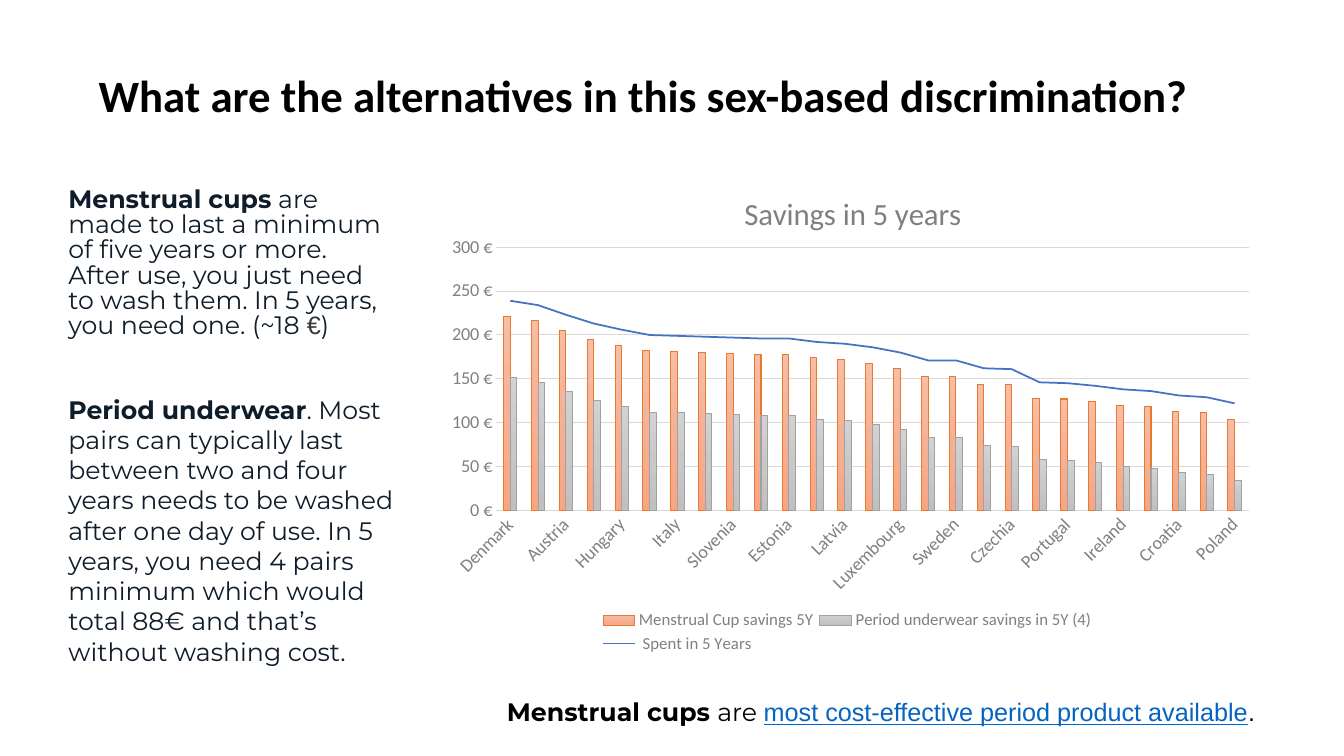
from copy import deepcopy

from pptx import Presentation
from pptx.chart.data import CategoryChartData
from pptx.dml.color import RGBColor
from pptx.enum.chart import XL_CHART_TYPE, XL_LEGEND_POSITION, XL_MARKER_STYLE, XL_TICK_MARK
from pptx.oxml.ns import qn
from pptx.oxml.xmlchemy import OxmlElement
from pptx.util import Inches, Pt

COLUMNS = XL_CHART_TYPE.COLUMN_CLUSTERED
LEGEND_BOTTOM = XL_LEGEND_POSITION.BOTTOM
NO_MARKER = XL_MARKER_STYLE.NONE
NO_TICK = XL_TICK_MARK.NONE

THEME = {
    "heading_font": "Calibri", "body_font": "Montserrat", "plain_font": "Arial",
    "black": "000000", "ink": "0F1C2A", "euro": "363636", "link": "0563C1",
    "chart_text": "808080", "grid": "D9D9D9", "spent": "4472C4",
    "columns": [
        (("F7BDA5", "F5B196", "F8A582"), "E87A30"),
        (("D2D2D2", "C8C8C8", "C0C0C0"), "A1A1A1"),
    ],
    "title_size": 32, "body_size": 18, "chart_title_size": 22,
    "axis_size": 13, "legend_size": 12,
}

BOLD = {"bold": True}
PLAIN = {"bold": False}
# Each text: box (left, top, width, height), colour, exact line spacing, runs
TEXTS = [
    ((0.88, 0.62, 11.54, 0.94), "black", None, [
        ("What are the alternatives in this sex-based discrimination?",
         {"bold": True, "font": "heading_font", "size": "title_size"}),
    ]),
    ((0.58, 1.82, 3.4, 1.62), "ink", 18, [
        ("Menstrual cups", BOLD),
        (" are made to last a minimum of five years or more. After use, you just need "
         "to wash them. In 5 years, you need one. (~18", PLAIN),
        (" €", {"font": "plain_font", "color": "euro"}),
        (")", PLAIN),
    ]),
    ((0.58, 3.86, 3.52, 2.83), "ink", None, [
        ("Period underwear", BOLD),
        (". Most pairs can typically last between two and four years needs to be washed "
         "after one day of use. In 5 years, you need 4 pairs minimum which would total "
         "88€ and that’s without washing cost.", PLAIN),
    ]),
    ((4.93, 6.86, 7.87, 0.4), "black", None, [
        ("Menstrual cups ", BOLD),
        ("are ", PLAIN),
        ("most cost-effective period product available",
         {"font": "plain_font", "color": "link", "underline": True}),
        (".", {"font": "plain_font"}),
    ]),
]

CHART_BOX = (4.26, 1.55, 8.29, 5.02)
CHART_TITLE = "Savings in 5 years"
COUNTRIES = [
    "Denmark", "Greece", "Austria", "Romania", "Hungary", "Finland", "Italy", "Cyprus",
    "Slovenia", "Belgium", "Estonia", "Malta", "Latvia", "Netherlands", "Luxembourg",
    "France", "Sweden", "Spain", "Czechia", "Lithuania", "Portugal", "Bulgaria",
    "Ireland", "Slovakia", "Croatia", "Germany", "Poland",
]
SERIES = {
    "Menstrual Cup savings 5Y": [
        221, 216, 205, 195, 188, 182, 181, 180, 179, 178, 178, 174, 172, 168,
        162, 153, 153, 144, 143, 128, 127, 124, 120, 118, 113, 111, 104],
    "Period underwear savings in 5Y (4)": [
        151, 146, 135, 125, 118, 112, 111, 110, 109, 108, 108, 104, 102, 98,
        92, 83, 83, 74, 73, 58, 57, 54, 50, 48, 43, 41, 34],
    " Spent in 5 Years ": [
        239, 234, 223, 213, 206, 200, 199, 198, 197, 196, 196, 192, 190, 186,
        180, 171, 171, 162, 161, 146, 145, 142, 138, 136, 131, 129, 122],
}


def rgb(name):
    return RGBColor.from_string(THEME.get(name, name))


def set_font(font, size, color, family="heading_font", bold=False):
    font.name, font.size, font.bold = THEME[family], Pt(THEME[size]), bold
    font.color.rgb = rgb(color)


def set_line(line, color, width):
    line.color.rgb, line.width = rgb(color), Pt(width)


def add_text(slide, box, color, spacing, runs):
    frame = slide.shapes.add_textbox(*map(Inches, box)).text_frame
    frame.word_wrap = True
    paragraph = frame.paragraphs[0]
    if spacing:
        paragraph.line_spacing = Pt(spacing)
    for text, style in runs:
        run = paragraph.add_run()
        run.text = text
        set_font(run.font, style.get("size", "body_size"), style.get("color", color),
                 style.get("font", "body_font"), style.get("bold", False))
        if style.get("underline"):
            run.font.underline = True


def add_value(parent, tag, value):
    child = OxmlElement(tag)
    child.set("val", str(value))
    parent.append(child)


def place(element, index, **fractions):
    """Give a chart part a fixed place, in fractions of the chart's size."""
    for old in element.findall(qn("c:layout")):
        element.remove(old)
    layout, manual = OxmlElement("c:layout"), OxmlElement("c:manualLayout")
    layout.append(manual)
    if index == 0:
        add_value(manual, "c:layoutTarget", "inner")
    for mode in ("c:xMode", "c:yMode"):
        add_value(manual, mode, "edge")
    for side, fraction in fractions.items():
        add_value(manual, f"c:{side}", fraction)
    element.insert(index, layout)


def move_last_series_to_line(plot_area):
    columns = plot_area.find(qn("c:barChart"))
    series = columns.findall(qn("c:ser"))[-1]
    for column_only in series.findall(qn("c:invertIfNegative")):
        series.remove(column_only)
    line_chart = OxmlElement("c:lineChart")
    add_value(line_chart, "c:grouping", "standard")
    add_value(line_chart, "c:varyColors", 0)
    line_chart.append(series)
    add_value(line_chart, "c:marker", 1)
    for axis_id in columns.findall(qn("c:axId")):
        line_chart.append(deepcopy(axis_id))
    columns.addnext(line_chart)


def fill_gradient(series, colors):
    fill = series.format.fill
    fill.gradient()
    fill.gradient_angle = 270
    stop_list = series._element.find(".//" + qn("a:gsLst"))
    stop_list.insert(1, deepcopy(stop_list[0]))
    for stop, color, position in zip(fill.gradient_stops, colors, (0, 0.5, 1)):
        stop.color.rgb, stop.position = rgb(color), position


def add_savings_chart(slide):
    data = CategoryChartData()
    data.categories = COUNTRIES
    for name, values in SERIES.items():
        data.add_series(name, values)
    chart = slide.shapes.add_chart(COLUMNS, *map(Inches, CHART_BOX), data).chart
    plot_area = chart._chartSpace.chart.plotArea
    move_last_series_to_line(plot_area)
    place(plot_area, 0, x=0.08, y=0.18, w=0.9, h=0.52)

    chart.has_title = True
    title = chart.chart_title
    title.text_frame.text = CHART_TITLE
    set_font(title.text_frame.paragraphs[0].font, "chart_title_size", "chart_text")
    place(title._element, 1, x=0.37, y=0.06)

    chart.has_legend = True
    legend = chart.legend
    legend.position, legend.include_in_layout = LEGEND_BOTTOM, False
    set_font(legend.font, "legend_size", "chart_text")
    place(legend._element, 1, x=0.2, y=0.89, w=0.6, h=0.1)

    countries, euros = chart.category_axis, chart.value_axis
    for axis in (countries, euros):
        axis.major_tick_mark = axis.minor_tick_mark = NO_TICK
        set_font(axis.tick_labels.font, "axis_size", "chart_text")
    set_line(countries.format.line, "grid", 0.75)
    countries._element.find(".//" + qn("a:bodyPr")).set("rot", "-2700000")
    skip = OxmlElement("c:tickLblSkip")
    skip.set("val", "2")
    countries._element.find(qn("c:noMultiLvlLbl")).addprevious(skip)
    euros.minimum_scale, euros.maximum_scale, euros.major_unit = 0, 300, 50
    euros.format.line.fill.background()
    set_line(euros.major_gridlines.format.line, "grid", 0.75)
    euros.tick_labels.number_format = '#\\ ##0\\ "€"'
    euros.tick_labels.number_format_is_linked = False

    columns, lines = chart.plots
    columns.gap_width, columns.overlap, columns.vary_by_categories = 219, 0, False
    for series, (colors, outline) in zip(columns.series, THEME["columns"]):
        fill_gradient(series, colors)
        set_line(series.format.line, outline, 0.75)
    spent = lines.series[0]
    spent.smooth, spent.marker.style = False, NO_MARKER
    set_line(spent.format.line, "spent", 1.25)


def main():
    presentation = Presentation()
    presentation.slide_width, presentation.slide_height = Inches(13.33), Inches(7.5)
    slide = presentation.slides.add_slide(presentation.slide_layouts[6])
    add_savings_chart(slide)
    for text in TEXTS:
        add_text(slide, *text)
    presentation.save("out.pptx")


if __name__ == "__main__":
    main()
